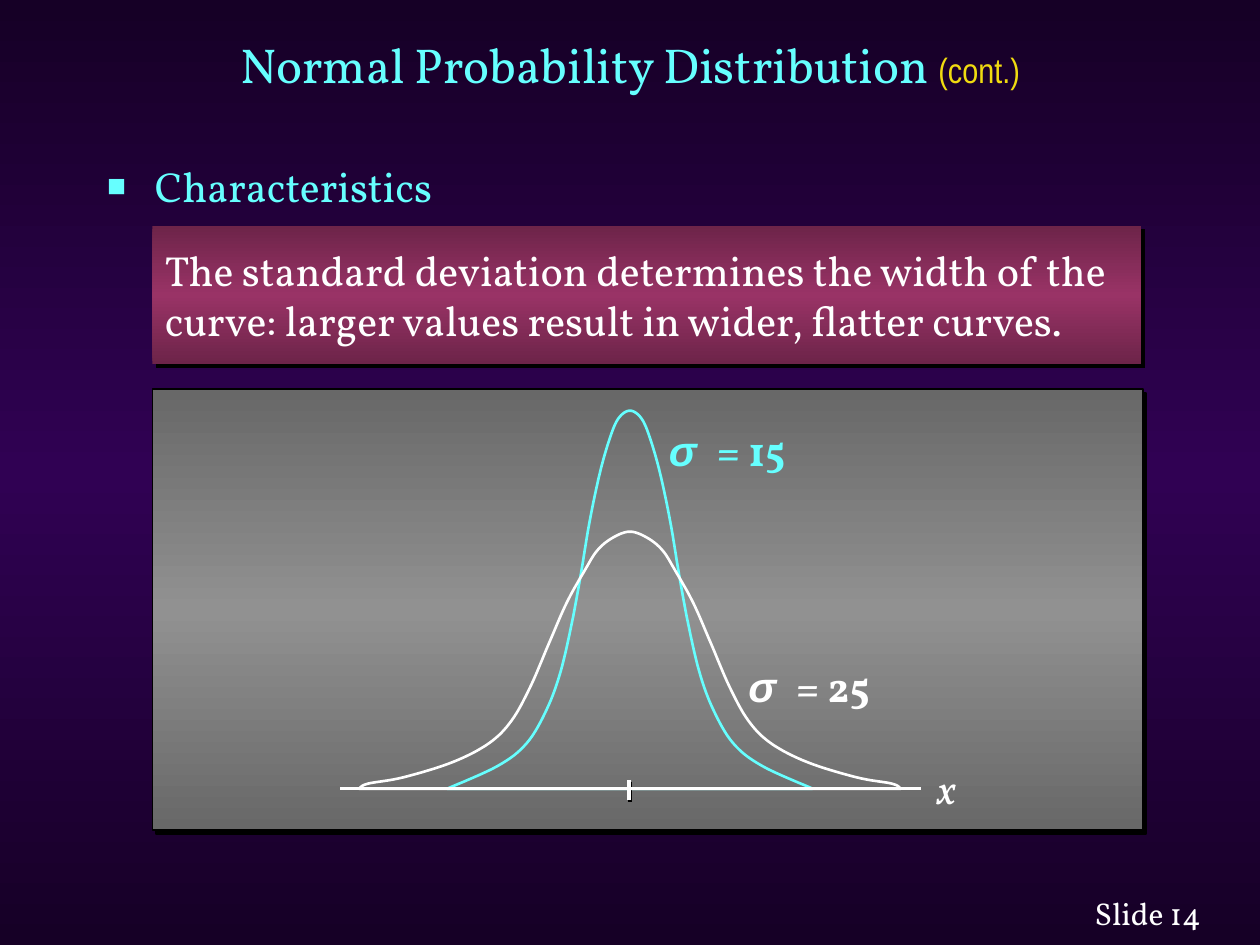
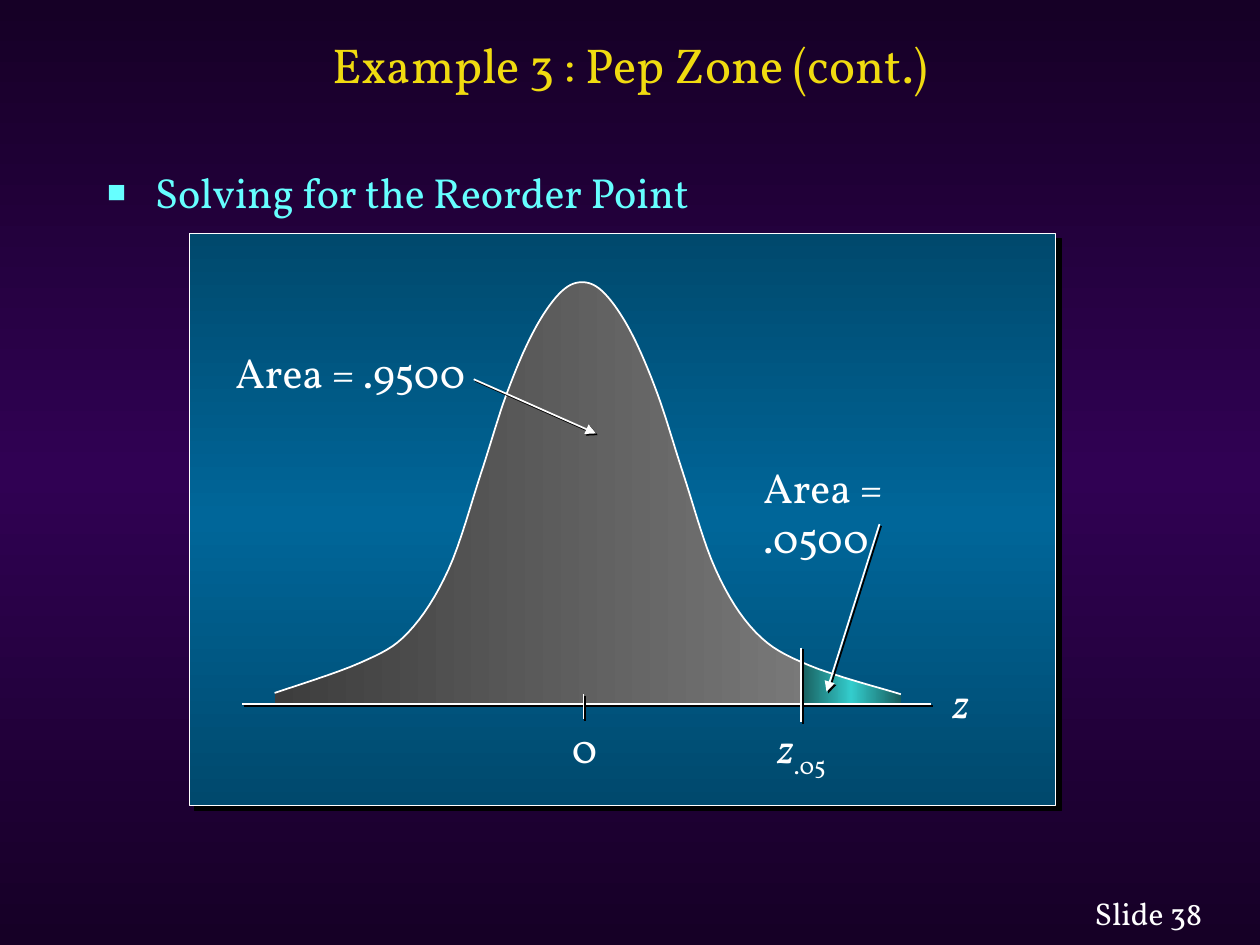
import dataclasses
import lxml.etree
import pptx
import pptx.dml.color
import pptx.enum.shapes
import pptx.enum.text
import pptx.oxml.ns
import pptx.util

qn = pptx.oxml.ns.qn
Pt = pptx.util.Pt
ALIGN = pptx.enum.text.PP_ALIGN
ANCHOR = pptx.enum.text.MSO_ANCHOR
FIT = pptx.enum.text.MSO_AUTO_SIZE
RECT = pptx.enum.shapes.MSO_SHAPE.RECTANGLE
LINE = pptx.enum.shapes.MSO_CONNECTOR.STRAIGHT

# Grid: 100 columns by 75 rows
WIDE, HIGH = pptx.util.Inches(10), pptx.util.Inches(7.5)
COL, ROW = WIDE / 100, HIGH / 75


@dataclasses.dataclass(frozen=True)
class Theme:
    font: str = "Vollkorn"
    small: str = "Arial Narrow"
    greek: str = "Arial"
    white: str = "FFFFFF"
    black: str = "000000"
    cyan: str = "66FFFF"
    gold: str = "F0DB10"
    night: tuple = ("160026", "300153", "160026")
    rose: tuple = ("6D2449", "993366", "6D2449")
    steel: tuple = ("686868", "919191", "686868")
    ocean: tuple = ("00496D", "006699", "00496D")
    slate: tuple = ("3D3D3D", "838383")
    teal: tuple = ("185E5E", "33CCCC", "185E5E")
    title: int = 28
    text: int = 24
    note: int = 20
    foot: int = 18


T = Theme()


@dataclasses.dataclass(frozen=True)
class Box:
    """A region of the grid, in columns and rows."""
    left: float
    top: float
    wide: float = 0
    high: float = 0

    def sub(self, x, y, wide=0, high=0):
        return Box(self.left + x, self.top + y, wide, high)

    def emu(self):
        return [round(v) for v in (self.left * COL, self.top * ROW,
                                   self.wide * COL, self.high * ROW)]


# Formatting helpers
def rgb(code):
    return pptx.dml.color.RGBColor.from_string(code)


def add(node, tag, **attrs):
    return lxml.etree.SubElement(node, qn(tag), **attrs)


def shade(fill, root, codes, angle=90):
    """Spread the colours evenly over a linear gradient."""
    fill.gradient()
    fill.gradient_angle = angle
    stops = root.find(".//" + qn("a:gsLst"))
    for stop in list(stops):
        stops.remove(stop)
    for i, code in enumerate(codes):
        stop = add(stops, "a:gs", pos=str(100000 * i // (len(codes) - 1)))
        add(stop, "a:srgbClr", val=code)


def edge(shape, code=None, width=1.0, drop=0.0, turn=45):
    """Set the outline, then the hard shadow or its absence."""
    if code:
        shape.line.color.rgb = rgb(code)
        shape.line.width = Pt(width)
    else:
        shape.line.fill.background()
    effect = add(shape._element.spPr, "a:effectLst")
    if drop:
        cast = add(effect, "a:outerShdw", dist=str(Pt(drop)),
                   dir=str(turn * 60000), algn="ctr", rotWithShape="0")
        add(cast, "a:srgbClr", val=T.black)


def style(run, code=T.white, size=T.text, font=T.font, bold=False, slant=False):
    run.font.name, run.font.size = font, Pt(size)
    run.font.color.rgb = rgb(code)
    run.font.bold, run.font.italic = bold, slant


def write(para, *parts):
    """Fill a paragraph with (text, style options) runs."""
    for text, look in parts:
        run = para.add_run()
        run.text = text
        style(run, **look)


def label(slide, box, *parts, wrap=False):
    shape = slide.shapes.add_textbox(*box.emu())
    frame = shape.text_frame
    frame.word_wrap = wrap
    frame.auto_size = FIT.SHAPE_TO_FIT_TEXT
    write(frame.paragraphs[0], *parts)
    return shape


def panel(slide, box, codes, drop, line=None, width=1.0):
    shape = slide.shapes.add_shape(RECT, *box.emu())
    shade(shape.fill, shape._element, codes)
    edge(shape, line, width, drop)
    return shape


def rule(slide, org, start, end, width=1.0, drop=1.4, arrow=False):
    """Draw a white line between two points relative to org."""
    ends = org.sub(*start).emu()[:2] + org.sub(*end).emu()[:2]
    line = slide.shapes.add_connector(LINE, *ends)
    edge(line, T.white, width, drop)
    if arrow:
        add(line.line._get_or_add_ln(), "a:tailEnd", type="triangle")


# Curves: points are (columns from the centre, rows above the axis)
def smooth(keys, steps=8):
    """Run a Catmull-Rom curve through the key points."""
    ring = [keys[0], *keys, keys[-1]]
    out = []
    for a, b, c, d in zip(ring, ring[1:], ring[2:], ring[3:]):
        for i in range(steps):
            t = i / steps
            out.append(tuple(
                (2 * q + (r - p) * t + (2 * p - 5 * q + 4 * r - s) * t ** 2
                 + (3 * q - p - 3 * r + s) * t ** 3) / 2
                for p, q, r, s in zip(a, b, c, d)))
    return out + [keys[-1]]


def bell(left, right=None):
    """Join a half profile, peak first, to its mirror or to another half."""
    return smooth([(-x, y) for x, y in reversed(left)] + (right or left)[1:])


def trace(slide, org, points, close=True, codes=None, line=None, width=1.0):
    spots = [org.sub(x, -y).emu()[:2] for x, y in points]
    form = slide.shapes.build_freeform(*spots[0], scale=1.0)
    form.add_line_segments(spots[1:], close=close)
    shape = form.convert_to_shape()
    if codes:
        shade(shape.fill, shape._element, codes, 0)
    else:
        shape.fill.background()
    edge(shape, line, width)


# Parts that both slides share
def frame(deck, number, top, topic, *title):
    slide = deck.slides.add_slide(deck.slide_layouts[1])
    head, body = slide.placeholders
    head.left, head.top, head.width, head.height = Box(7.5, 0.6, 85, 8.9).emu()
    head.text_frame.vertical_anchor = ANCHOR.MIDDLE
    para = head.text_frame.paragraphs[0]
    para.alignment = ALIGN.CENTER
    write(para, *title)

    body.left, body.top, body.width, body.height = Box(7.5, top, 85, 5.9).emu()
    body.text_frame.auto_size = FIT.NONE
    para = body.text_frame.paragraphs[0]
    write(para, (topic, dict(code=T.cyan)))
    para.space_before = Pt(5)
    props = para._p.get_or_add_pPr()
    props.set("marL", str(round(3.8 * COL)))
    props.set("indent", str(round(-3.8 * COL)))
    add(add(props, "a:buClr"), "a:srgbClr", val=T.cyan)
    add(props, "a:buSzPct", val="75000")
    add(props, "a:buFont", typeface=T.greek)
    add(props, "a:buChar", char="■")

    label(slide, Box(85.9, 70.5, 11, 4), (f"Slide {number}", dict(size=T.foot)))
    return slide


# Spread of the curve
NARROW = [(0, 30), (0.9, 29.4), (1.6, 27.8), (2.4, 25), (3.2, 21.2), (3.9, 17),
          (4.6, 13.2), (5.5, 9.3), (6.6, 6.3), (8.2, 3.6), (10.5, 1.8), (14.5, 0)]
BROAD = [(0, 20.4), (1.4, 19.9), (2.6, 18.9), (3.6, 17.3), (5, 14.8),
         (6.4, 11.6), (7.9, 8.1), (9.4, 5.4), (11.2, 3.6), (14.1, 2.1),
         (18, 0.9), (20.8, 0.4), (21.5, 0)]


def claim(slide, box):
    shape = panel(slide, box, T.rose, 2.8)
    text = shape.text_frame
    text.word_wrap = False
    text.vertical_anchor = ANCHOR.MIDDLE
    text.text = ("The standard deviation determines the width of the\n"
                 "curve: larger values result in wider, flatter curves.")
    for para in text.paragraphs:
        para.alignment = ALIGN.LEFT
        style(para.runs[0])


def spread(slide, box):
    panel(slide, box, T.steel, 2.8, T.black)
    org = box.sub(37.9, 31.7)
    trace(slide, org, bell(NARROW), line=T.cyan, width=1.5)
    rule(slide, org, (-0.1, -0.7), (-0.1, 0.9), 2.25)
    trace(slide, org, bell(BROAD), line=T.white, width=1.5)
    rule(slide, org, (-23, 0), (23.1, 0), 1.5, 0)
    for x, y, value, code in ((2.1, -29.4, 15, T.cyan), (8.4, -10.7, 25, T.white)):
        label(slide, org.sub(x, y, 11.8, 5),
              ("σ ", dict(code=code, font=T.greek, bold=True, slant=True)),
              (f" = {value}", dict(code=code, bold=True)))
    label(slide, org.sub(23.4, -2.6, 3.7, 5), ("x", dict(slant=True)))


# Areas under the curve
LEFT = [(0, 33.5), (1.8, 32.6), (3.9, 29.5), (6, 24.6), (8, 18.4),
        (10.6, 10.7), (13.8, 5.7), (17.6, 3.3), (24.4, 0.9)]
RIGHT = LEFT[:-2] + [(18, 3.1), (25.3, 0.8)]
CUT = 17.4


def areas(slide, box):
    panel(slide, box, T.ocean, 4.2, T.white, 0.5)
    org = box.sub(31.2, 37.4)
    curve = bell(LEFT, RIGHT)
    tail = [p for p in curve if p[0] > CUT]
    for part, codes in ((curve, T.slate), ([(CUT, 3.3)] + tail, T.teal)):
        base = [(part[-1][0], 0), (part[0][0], 0)]
        trace(slide, org, part + base, codes=codes)
    trace(slide, org, curve, close=False, line=T.white)

    # Axis and its ticks
    rule(slide, org, (-27, 0), (27.7, 0))
    rule(slide, org, (0.1, -0.8), (0.1, 1.2))
    rule(slide, org, (CUT, -4.5), (CUT, 1.4))
    label(slide, org.sub(-1.8, 0.9, 3.6, 5), ("0", {}))
    label(slide, org.sub(28.4, -2.7, 3.5, 5), ("z", dict(slant=True)))
    mark = label(slide, org.sub(14.5, 0.9, 6.2, 5),
                 ("z", dict(slant=True)), (".05", {}))
    para = mark.text_frame.paragraphs[0]
    para.space_before = Pt(5)
    para.runs[1].font._element.set("baseline", "-25000")

    # Callouts
    label(slide, org.sub(-28.5, -28.9, 20.3, 5), ("Area = .9500", {}))
    rule(slide, org, (-8.6, -25.8), (1.1, -21.5), arrow=True)
    label(slide, org.sub(13.4, -19.8, 14, 9), ("Area = .0500", {}), wrap=True)
    rule(slide, org, (23.6, -14.3), (19.4, -1), arrow=True)


def main():
    deck = pptx.Presentation()
    deck.slide_width, deck.slide_height = WIDE, HIGH
    master = deck.slide_master
    shade(master.background.fill, master.element, T.night)

    slide = frame(deck, 14, 12.2, "Characteristics",
                  ("Normal Probability Distribution ", dict(code=T.cyan, size=T.title)),
                  ("(cont.)", dict(code=T.gold, size=T.note, font=T.small)))
    claim(slide, Box(12.1, 17.9, 78.5, 11))
    spread(slide, Box(12.1, 30.9, 78.6, 35))

    slide = frame(deck, 38, 12.7, "Solving for the Reorder Point",
                  ("Example 3 : Pep Zone (cont.)", dict(code=T.gold, size=T.title)))
    areas(slide, Box(15, 18.5, 68.8, 45.4))
    deck.save("out.pptx")


if __name__ == "__main__":
    main()
